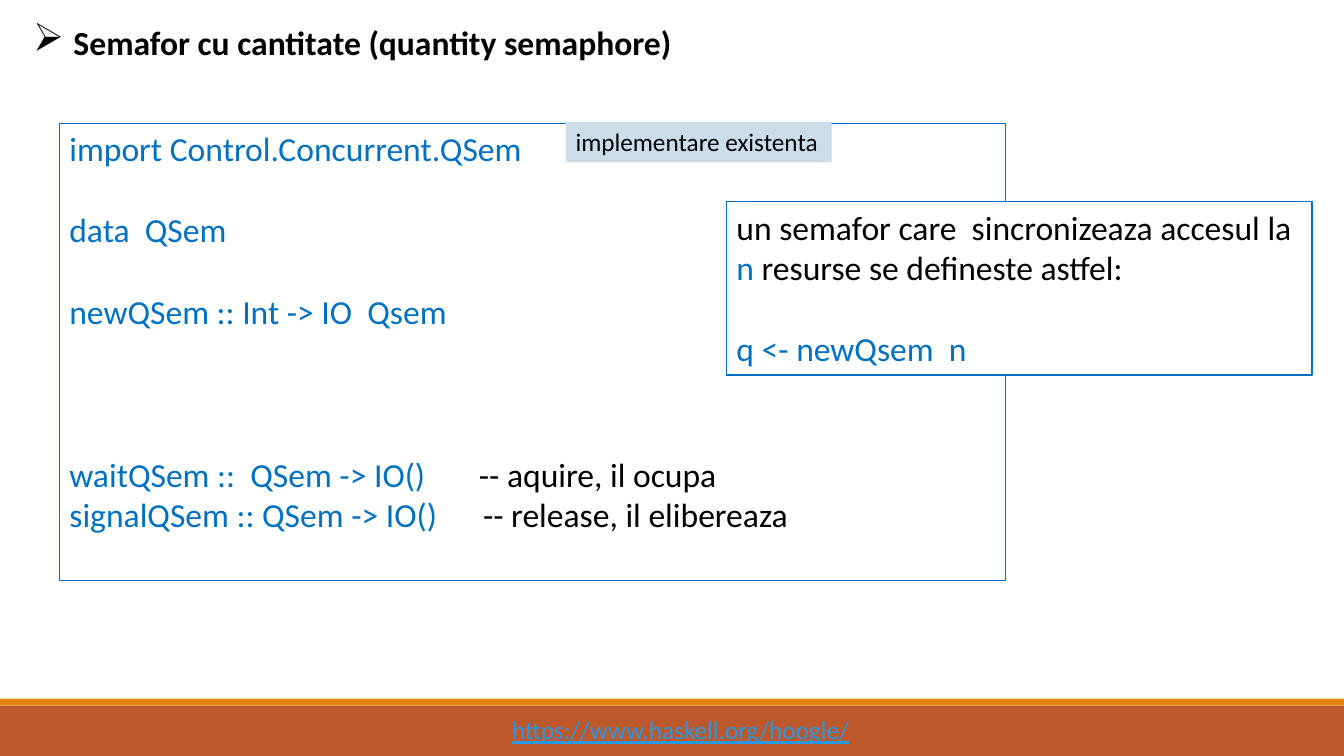
"""Build the slide on the quantity semaphore in Haskell."""
from dataclasses import dataclass

from lxml import etree
from pptx import Presentation
from pptx.dml.color import RGBColor
from pptx.enum.shapes import MSO_SHAPE
from pptx.enum.text import MSO_ANCHOR, PP_ALIGN
from pptx.oxml.ns import qn
from pptx.util import Pt

RECT = MSO_SHAPE.RECTANGLE
TOP, MIDDLE = MSO_ANCHOR.TOP, MSO_ANCHOR.MIDDLE
LEFT = PP_ALIGN.LEFT
COLORS = {
    "rust": "BD582C", "orange": "E48312", "link": "2998E3", "code": "0070C0",
    "text": "000000", "white": "FFFFFF", "label": "CCDDEA",
}
LINE_HEIGHT = 29.2


@dataclass
class Run:
    text: str
    color: str = "code"
    size: float = 24
    bold: bool = False
    underline: bool = False


@dataclass
class Para:
    runs: list[Run]
    blank_lines: int = 0
    tab: float = 0
    bullet: str = ""
    indent: float = 0


@dataclass
class Box:
    at: tuple[float, float, float, float]
    fill: str = ""
    line: str = ""
    width: float = 0
    paras: tuple[Para, ...] = ()
    wrap: bool = True
    anchor: MSO_ANCHOR = TOP


TITLE = Box((16.5, 9.5, 476, 41), anchor=MIDDLE, wrap=False, paras=(
    Para([Run("Semafor cu cantitate (quantity semaphore)", "text", bold=True)],
         bullet="➢", indent=28.8),
))
BOXES = [
    Box((0, 504, 960, 36), "rust"),
    Box((0, 499, 960, 5), "orange"),
    Box((358.5, 507, 258.5, 29), wrap=False, paras=(
        Para([Run("https://www.haskell.org/hoogle/", "link", 18, underline=True)]),
    )),
    Box((42.5, 88, 676, 327), line="code", width=0.75, paras=(
        Para([Run("import Control.Concurrent.QSem")]),
        Para([Run("data  QSem")], 1),
        Para([Run("newQSem :: Int -> IO  Qsem")], 1),
        Para([Run("waitQSem ::  QSem -> IO()\t"), Run("-- aquire, il ocupa", "text")],
             3, tab=292.5),
        Para([Run("signalQSem :: QSem -> IO()\t"),
              Run("-- release, il elibereaza", "text")], tab=295.5),
    )),
    Box((519, 144, 418, 124), "white", "code", 1.25, (
        Para([Run("un semafor care  sincronizeaza accesul la ", "text"), Run("n "),
              Run("resurse se defineste astfel:", "text")]),
        Para([Run("q <- newQsem  n")], 1),
    )),
    Box((404, 87, 190, 29), "label", wrap=False, paras=(
        Para([Run("implementare existenta", "text", 18)]),
    )),
]


def rgb(name: str) -> RGBColor:
    """Return the named colour."""
    return RGBColor.from_string(COLORS[name])


def set_all(target: object, values: dict[str, object]) -> None:
    """Set every attribute in values on target."""
    for name, value in values.items():
        setattr(target, name, value)


def write_para(p, para: Para) -> None:
    """Fill one paragraph with its runs, bullet and tab stop."""
    set_all(p, {"alignment": LEFT, "space_before": Pt(para.blank_lines * LINE_HEIGHT)})
    pPr = p._p.get_or_add_pPr()
    if para.bullet:
        pPr.set("marL", str(Pt(para.indent)))
        pPr.set("indent", str(-Pt(para.indent)))
        etree.SubElement(pPr, qn("a:buSzPct")).set("val", "117000")
        etree.SubElement(pPr, qn("a:buChar")).set("char", para.bullet)
    if para.tab:
        tabs = etree.SubElement(pPr, qn("a:tabLst"))
        tab = etree.SubElement(tabs, qn("a:tab"))
        tab.set("pos", str(Pt(para.tab)))
        tab.set("algn", "l")
    for run in para.runs:
        r = p.add_run()
        r.text = run.text
        set_all(r.font, {"name": "Calibri", "size": Pt(run.size), "bold": run.bold,
                         "underline": run.underline})
        r.font.color.rgb = rgb(run.color)


def write_text(sp, box: Box) -> None:
    """Write the paragraphs of a box into a shape."""
    tf = sp.text_frame
    set_all(tf, {"word_wrap": box.wrap, "vertical_anchor": box.anchor,
                 "margin_left": Pt(7.2), "margin_right": Pt(7.2),
                 "margin_top": Pt(3.6), "margin_bottom": Pt(3.6)})
    for i, para in enumerate(box.paras):
        write_para(tf.add_paragraph() if i else tf.paragraphs[0], para)


def add_box(slide, box: Box) -> None:
    """Add a rectangle, or a text box when it has no fill or line."""
    at = [Pt(v) for v in box.at]
    if box.fill or box.line:
        sp = slide.shapes.add_shape(RECT, *at)
        sp.shadow.inherit = False
        if box.fill:
            sp.fill.solid()
            sp.fill.fore_color.rgb = rgb(box.fill)
        else:
            sp.fill.background()
        if box.line:
            sp.line.color.rgb = rgb(box.line)
            sp.line.width = Pt(box.width)
        else:
            sp.line.fill.background()
    else:
        sp = slide.shapes.add_textbox(*at)
    if box.paras:
        write_text(sp, box)


def main() -> None:
    """Build and save the presentation."""
    prs = Presentation()
    set_all(prs, {"slide_width": Pt(960), "slide_height": Pt(540)})
    slide = prs.slides.add_slide(prs.slide_layouts[5])
    title = slide.shapes.title
    set_all(title, dict(zip(("left", "top", "width", "height"), map(Pt, TITLE.at))))
    write_text(title, TITLE)
    for box in BOXES:
        add_box(slide, box)
    prs.save("out.pptx")


if __name__ == "__main__":
    main()
